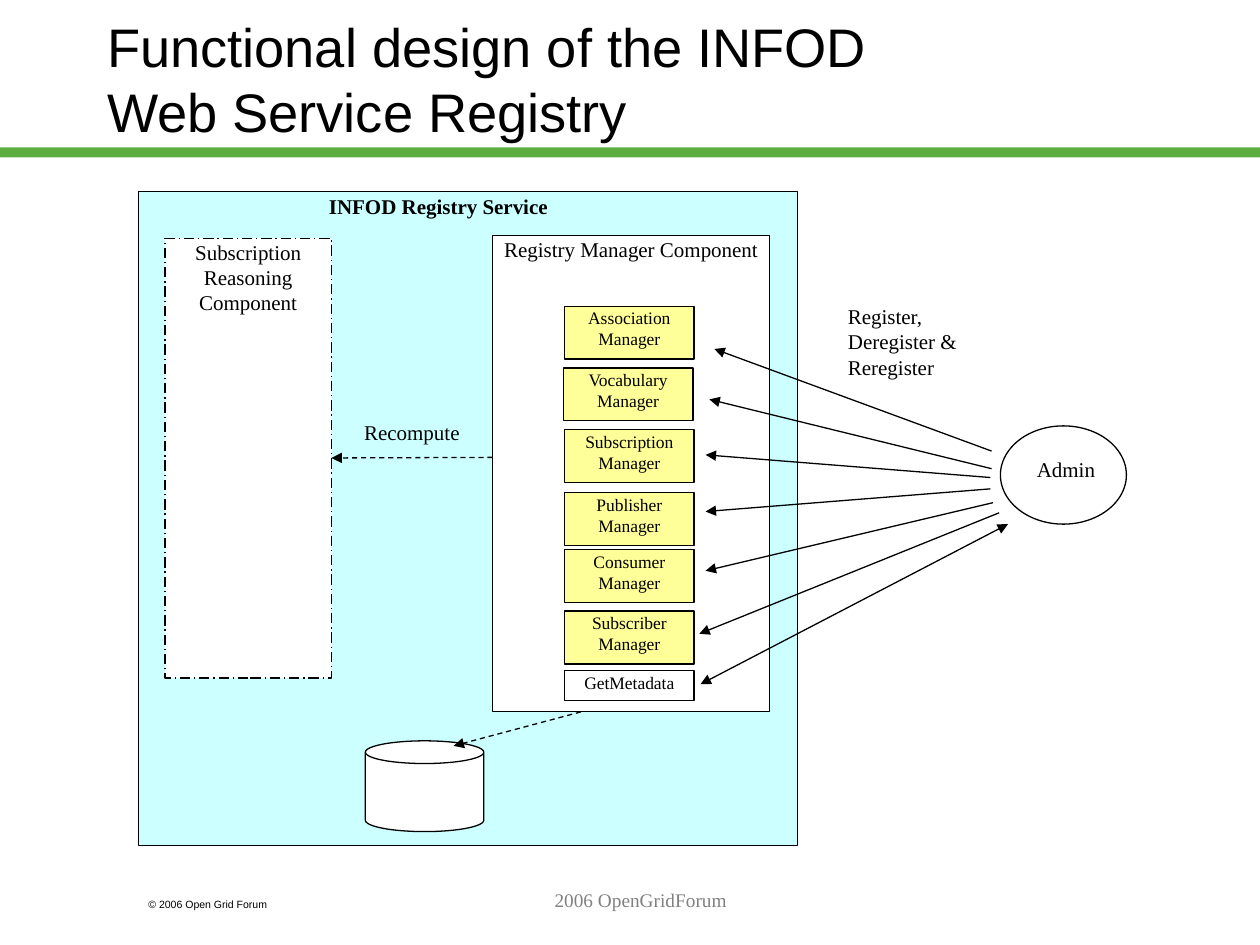
from pptx import Presentation
from pptx.dml.color import RGBColor
from pptx.enum.dml import MSO_LINE
from pptx.enum.shapes import MSO_CONNECTOR, MSO_SHAPE
from pptx.enum.text import MSO_ANCHOR, MSO_AUTO_SIZE, PP_ALIGN
from pptx.oxml.ns import qn
from pptx.util import Inches, Pt
from lxml.etree import SubElement

THEME = {
    "black": "000000", "white": "FFFFFF", "green": "5DAD41",
    "cyan": "CCFFFF", "yellow": "FFFF99", "gray": "808080",
    "sans": "Arial", "serif": "Times New Roman",
    "title": 31, "label": 12, "manager": 10, "footer": 11, "copyright": 6,
    "line": 0.75,
}
LABEL_INSETS = (0.02, 0)
BOX_INSETS = (0.06, 0.01)
FOOTER_INSETS = (0.1, 0.05)

TITLE = "Functional design of the INFOD Web Service Registry"
# label, left, top, arrow start, arrow end
MANAGERS = [
    ("Association Manager", 4.48, 2.43, (7.87, 3.58), (5.67, 2.77)),
    ("Vocabulary Manager", 4.47, 2.92, (7.87, 3.72), (5.63, 3.17)),
    ("Subscription Manager", 4.48, 3.41, (7.86, 3.79), (5.6, 3.61)),
    ("Publisher Manager", 4.48, 3.91, (7.86, 3.88), (5.6, 4.06)),
    ("Consumer Manager", 4.48, 4.36, (7.88, 3.99), (5.6, 4.53)),
    ("Subscriber Manager", 4.48, 4.85, (7.93, 4.07), (5.55, 5.03)),
]
MANAGER_SIZE = (1.03, 0.42)
# text, place, bold, alignment
LABELS = [
    ("Admin", (8.04, 3.62, 0.84, 0.51), False, PP_ALIGN.CENTER),
    ("Register, Deregister & Reregister", (6.71, 2.41, 1.23, 0.88), False, PP_ALIGN.LEFT),
    ("INFOD Registry Service", (2.59, 1.54, 2.25, 0.33), True, PP_ALIGN.LEFT),
    ("Recompute", (2.87, 3.33, 1.04, 0.36), False, PP_ALIGN.LEFT),
]

deck = Presentation()
deck.slide_width, deck.slide_height = Inches(10), Inches(7.5)
slide = deck.slides.add_slide(deck.slide_layouts[5])


def color(name):
    return RGBColor.from_string(THEME[name])


def write(shape, text, size, insets, align=PP_ALIGN.CENTER, anchor=MSO_ANCHOR.TOP,
          font="serif", ink="black", bold=False):
    frame = shape.text_frame
    frame.word_wrap = True
    frame.auto_size = MSO_AUTO_SIZE.NONE
    frame.vertical_anchor = anchor
    frame.margin_left = frame.margin_right = Inches(insets[0])
    frame.margin_top = frame.margin_bottom = Inches(insets[1])
    paragraph = frame.paragraphs[0]
    paragraph.alignment = align
    run = paragraph.add_run()
    run.text = text
    run.font.name = THEME[font]
    run.font.size = Pt(THEME[size])
    run.font.bold = bold
    run.font.color.rgb = color(ink)


def add_outline(kind, place, fill="white", text=None, size="label", dash=None, line="black"):
    shape = slide.shapes.add_shape(kind, *map(Inches, place))
    shape.shadow.inherit = False
    if fill:
        shape.fill.solid()
        shape.fill.fore_color.rgb = color(fill)
    else:
        shape.fill.background()
    if line:
        shape.line.color.rgb = color(line)
        shape.line.width = Pt(THEME["line"])
        if dash:
            shape.line.dash_style = dash
    else:
        shape.line.fill.background()
    if text:
        write(shape, text, size, BOX_INSETS)
    return shape


def add_label(text, place, size="label", insets=LABEL_INSETS, **style):
    write(slide.shapes.add_textbox(*map(Inches, place)), text, size, insets, **style)


def add_arrow(start, end, dash=None, both=False):
    arrow = slide.shapes.add_connector(MSO_CONNECTOR.STRAIGHT, *map(Inches, start + end))
    arrow.line.color.rgb = color("black")
    arrow.line.width = Pt(THEME["line"])
    if dash:
        arrow.line.dash_style = dash
    properties = arrow.line._get_or_add_ln()
    for tip in ("a:headEnd", "a:tailEnd") if both else ("a:tailEnd",):
        SubElement(properties, qn(tip), type="triangle")
    SubElement(arrow._element.spPr, qn("a:effectLst"))
    return arrow


# Title, rule and copyright line
add_outline(MSO_SHAPE.RECTANGLE, (0, 1.17, 10, 0.08), "green", line=None)
add_label("© 2006 Open Grid Forum", (1.08, 7.08, 1.5, 0.2), "copyright", FOOTER_INSETS,
          align=PP_ALIGN.LEFT, anchor=MSO_ANCHOR.MIDDLE, font="sans")
title = slide.shapes.title
title.left, title.top, title.width, title.height = map(Inches, (0.75, 0.17, 6.93, 0.91))
write(title, TITLE, "title", FOOTER_INSETS, PP_ALIGN.LEFT, MSO_ANCHOR.MIDDLE, "sans")

# Registry service with its components, store and administrator
add_outline(MSO_SHAPE.RECTANGLE, (1.1, 1.52, 5.23, 5.19), "cyan")
add_outline(MSO_SHAPE.OVAL, (7.94, 3.38, 1, 0.78))
reasoning = add_outline(MSO_SHAPE.RECTANGLE, (1.31, 1.89, 1.32, 3.49),
                        text="Subscription Reasoning Component",
                        dash=MSO_LINE.LONG_DASH_DOT)
add_outline(MSO_SHAPE.RECTANGLE, (3.91, 1.87, 2.2, 3.78), text="Registry Manager Component")
add_outline(MSO_SHAPE.CAN, (2.9, 5.88, 0.94, 0.72))
add_arrow((4.61, 5.65), (3.6, 5.92), MSO_LINE.DASH)

# Managers and the requests that reach them
for name, left, top, start, end in MANAGERS:
    add_outline(MSO_SHAPE.RECTANGLE, (left, top, *MANAGER_SIZE), "yellow", name, "manager")
    add_arrow(start, end)
add_outline(MSO_SHAPE.RECTANGLE, (4.48, 5.32, 1.03, 0.24), None, "GetMetadata", "manager")
add_arrow((8, 4.16), (5.56, 5.43), both=True)

# Recompute request
recompute = add_arrow((3.91, 3.63), (2.63, 3.63), MSO_LINE.DASH)
recompute.end_connect(reasoning, 3)

# Labels and footer
for text, place, bold, align in LABELS:
    add_label(text, place, bold=bold, align=align)
add_label("2006 OpenGridForum", (2.17, 7, 5.83, 0.5), "footer", FOOTER_INSETS, ink="gray")

deck.save("out.pptx")
